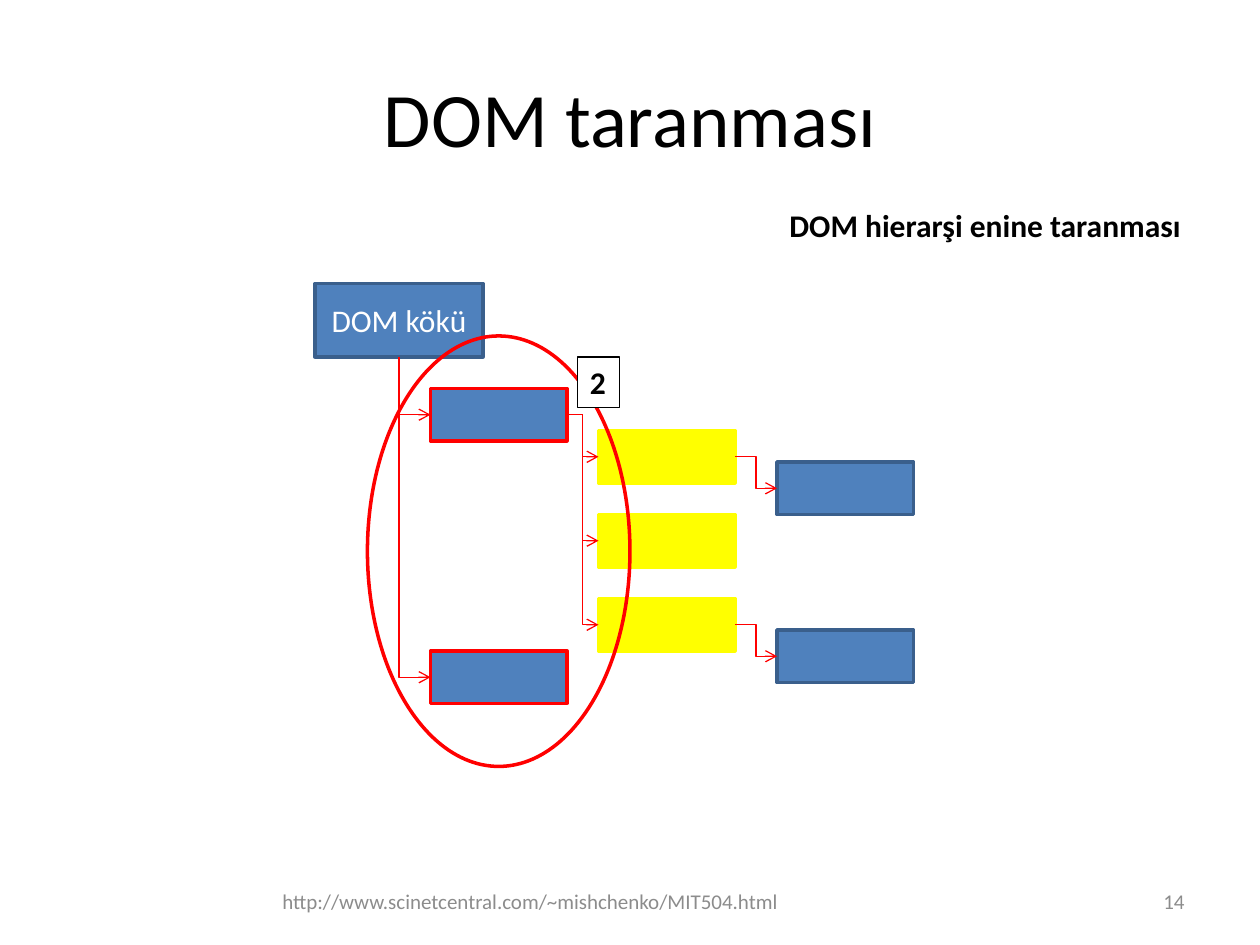
from lxml.etree import SubElement
from pptx import Presentation
from pptx.dml.color import RGBColor
from pptx.enum.shapes import MSO_CONNECTOR as Link, MSO_SHAPE as Shape
from pptx.enum.text import MSO_ANCHOR as Anchor, MSO_AUTO_SIZE as Fit, PP_ALIGN as Align
from pptx.oxml.ns import qn
from pptx.util import Inches, Pt

BLACK = RGBColor(0x00, 0x00, 0x00)
WHITE = RGBColor(0xFF, 0xFF, 0xFF)
GREY = RGBColor(0x8C, 0x8C, 0x8C)
BLUE = RGBColor(0x4F, 0x81, 0xBD)
NAVY = RGBColor(0x3A, 0x5F, 0x8C)
RED = RGBColor(0xFF, 0x00, 0x00)
YELLOW = RGBColor(0xFF, 0xFF, 0x00)

COLUMNS, ROWS = 120, 90
NODE_WIDTH, NODE_HEIGHT = 13, 5
BOTTOM, LEFT, RIGHT = 2, 1, 3


class TreeSlide:
    """Draw a DOM tree slide on a grid of 120 columns and 90 rows."""

    def __init__(self, deck):
        self.page = deck.slides.add_slide(deck.slide_layouts[6])
        self.column = deck.slide_width / COLUMNS
        self.row = deck.slide_height / ROWS
        self.font = "Calibri"

    def place(self, column, row, width, height):
        return (round(column * self.column), round(row * self.row),
                round(width * self.column), round(height * self.row))

    def fill_text(self, box, text, size, color, align=Align.CENTER,
                  anchor=Anchor.MIDDLE, bold=False, wrap=True):
        frame = box.text_frame
        layout = {"word_wrap": wrap, "vertical_anchor": anchor,
                  "auto_size": Fit.NONE if wrap else Fit.SHAPE_TO_FIT_TEXT}
        for name, value in layout.items():
            setattr(frame, name, value)
        para = frame.paragraphs[0]
        para.alignment = align
        span = para.add_run()
        span.text = text
        for name, value in {"name": self.font, "size": Pt(size), "bold": bold}.items():
            setattr(span.font, name, value)
        span.font.color.rgb = color

    def label(self, grid, text, size, color, **layout):
        box = self.page.shapes.add_textbox(*self.place(*grid))
        self.fill_text(box, text, size, color, **layout)

    def figure(self, kind, grid, fill, line, weight=2):
        box = self.page.shapes.add_shape(kind, *self.place(*grid))
        box.shadow.inherit = False
        if fill is None:
            box.fill.background()
        else:
            box.fill.solid()
            box.fill.fore_color.rgb = fill
        box.line.color.rgb = line
        box.line.width = Pt(weight)
        return box

    def node(self, column, row, fill, line):
        return self.figure(Shape.RECTANGLE, (column, row, NODE_WIDTH, NODE_HEIGHT), fill, line)

    def arrow(self, parent, child, side=RIGHT):
        link = self.page.shapes.add_connector(Link.ELBOW, 0, 0, 0, 0)
        link.begin_connect(parent, side)
        link.end_connect(child, LEFT)
        link.line.color.rgb = RED
        link.line.width = Pt(0.75)
        properties = link._element.spPr
        SubElement(properties.find(qn("a:ln")), qn("a:tailEnd"), type="arrow")
        SubElement(properties, qn("a:effectLst"))
        if side == BOTTOM:
            self.turn_down(link, properties)

    def turn_down(self, link, properties):
        width, height = link.width, link.height
        shift = (height - width) // 2
        bounds = {"left": link.left - shift, "top": link.top + shift,
                  "width": height, "height": width}
        for name, value in bounds.items():
            setattr(link, name, value)
        properties.find(qn("a:prstGeom")).set("prst", "bentConnector2")
        frame = properties.find(qn("a:xfrm"))
        for name, value in {"rot": "16200000", "flipH": "1"}.items():
            frame.set(name, value)


def main():
    deck = Presentation()
    deck.slide_width, deck.slide_height = Inches(10), Inches(7.5)
    tree = TreeSlide(deck)

    tree.label((6, 3.6, 108, 15), "DOM taranması", 44, BLACK)
    tree.label((22, 83.4, 57, 4.8),
               "http://www.scinetcentral.com/~mishchenko/MIT504.html", 12, GREY)
    tree.label((86, 83.4, 28, 4.8), "14", 12, GREY, align=Align.RIGHT)

    root = tree.figure(Shape.RECTANGLE, (30, 27, 16, 7), BLUE, NAVY)
    tree.fill_text(root, "DOM kökü", 18, WHITE)
    children = [tree.node(41, row, BLUE, RED) for row in (37, 62)]
    grandchildren = [tree.node(57, 41 + 8 * step, YELLOW, YELLOW) for step in range(3)]
    leaves = [tree.node(74, row, BLUE, NAVY) for row in (44, 60)]

    for child in children:
        tree.arrow(root, child, BOTTOM)
    for grandchild in grandchildren:
        tree.arrow(children[0], grandchild)
    for grandchild, leaf in zip(grandchildren[::2], leaves):
        tree.arrow(grandchild, leaf)

    tree.figure(Shape.OVAL, (35, 32, 25, 41), None, RED)
    heading = {"align": Align.LEFT, "anchor": Anchor.TOP, "bold": True, "wrap": False}
    badge = tree.figure(Shape.RECTANGLE, (55, 34, 4, 4.8), WHITE, BLACK, 0.75)
    tree.fill_text(badge, "2", 18, BLACK, **heading)
    tree.label((74, 19, 40, 4.8), "DOM hierarşi enine taranması", 18, BLACK, **heading)

    deck.save("out.pptx")


if __name__ == "__main__":
    main()
